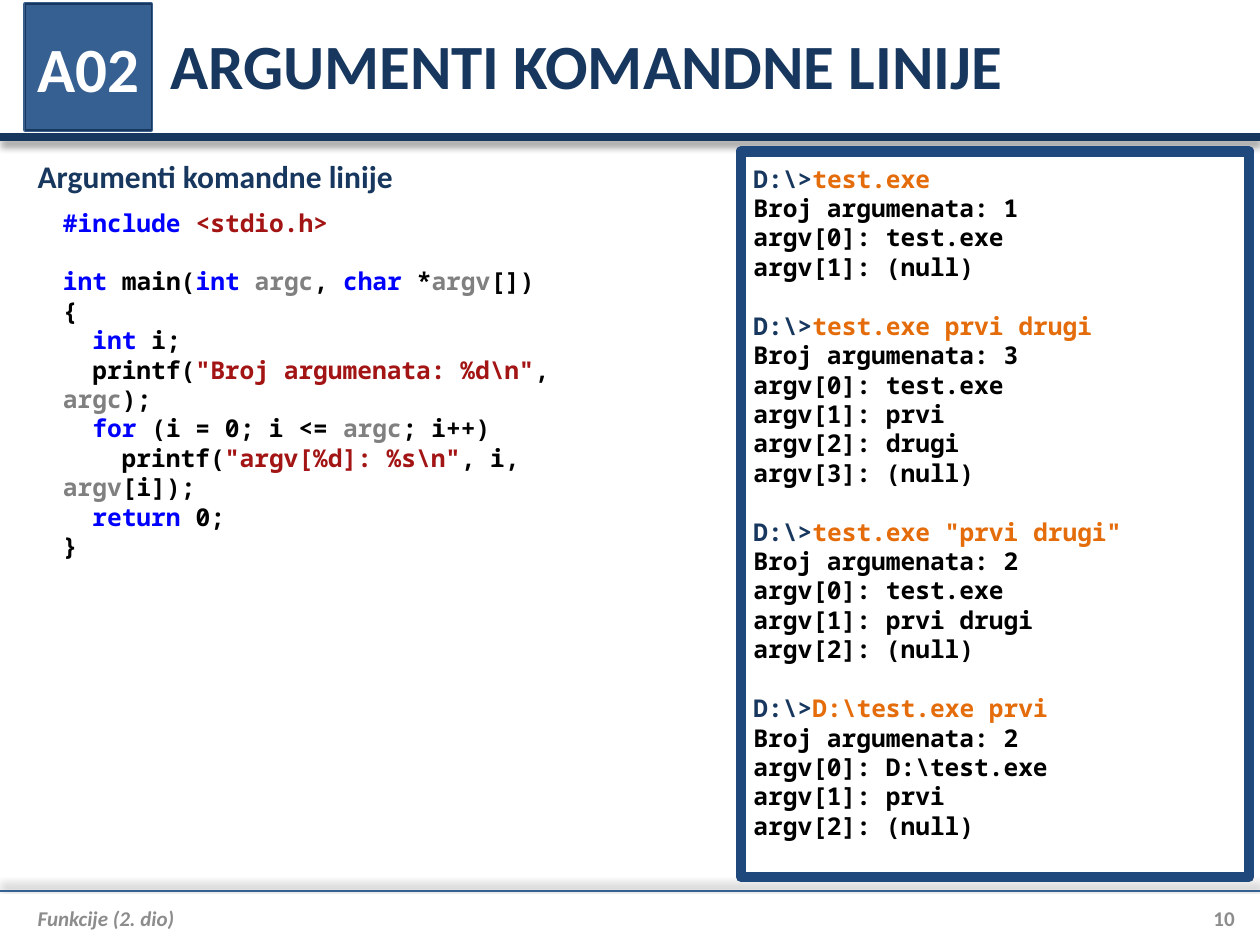
"""Build the slide about command line arguments, with code and its console output."""
from dataclasses import dataclass
from typing import Any

from lxml.etree import SubElement
from pptx import Presentation
from pptx.dml.color import RGBColor
from pptx.enum.shapes import MSO_CONNECTOR, MSO_SHAPE
from pptx.enum.text import MSO_ANCHOR, PP_ALIGN
from pptx.oxml.ns import qn
from pptx.util import Cm, Pt

NAVY, BLUE, GREY, WHITE, BLACK = "17375E", "376092", "8C8C8C", "FFFFFF", "000000"
KEYWORD, STRING, ARGUMENT, COMMAND = "0000FF", "A31515", "808080", "E46C0A"
HEADING_FONT = {"name": "Calibri", "size": Pt(36), "bold": True}
SUBHEADING_FONT = HEADING_FONT | {"size": Pt(18)}
FOOTER_FONT = HEADING_FONT | {"size": Pt(12)}
CODE_FONT = {"name": "Noto Sans Mono", "size": Pt(14), "bold": True}
CODE_LINE, CODE_INDENT = Pt(16.8), Pt(16.8)
MIDDLE = {"vertical_anchor": MSO_ANCHOR.MIDDLE}
NO_MARGINS = {f"margin_{side}": 0 for side in ("left", "top", "right", "bottom")}


@dataclass(frozen=True)
class Area:
    left: float
    top: float
    width: float
    height: float

    def lengths(self) -> tuple[Cm, ...]:
        return tuple(Cm(v) for v in (self.left, self.top, self.width, self.height))


@dataclass(frozen=True)
class Span:
    text: str
    color: str = BLACK


@dataclass(frozen=True)
class Line:
    spans: tuple[Span, ...]
    level: int = 0
    gap: bool = False


@dataclass(frozen=True)
class Session:
    command: str
    arguments: tuple[str, ...]


@dataclass(frozen=True)
class Rule:
    top: float
    color: str
    width: float
    shadow_angle: int


BADGE = Area(0.51, 0.08, 2.54, 2.54)
RULES = (Rule(2.77, NAVY, 4.5, 90), Rule(17.96, BLUE, 1.5, 270))
CODE = (
    Line((Span("#include ", KEYWORD), Span("<stdio.h>", STRING))),
    Line((Span("int", KEYWORD), Span(" main("), Span("int", KEYWORD), Span(" "),
          Span("argc", ARGUMENT), Span(", "), Span("char", KEYWORD), Span(" *"),
          Span("argv", ARGUMENT), Span("[])")), gap=True),
    Line((Span("{"),)),
    Line((Span("int", KEYWORD), Span(" i;")), 1),
    Line((Span("printf("), Span(r'"Broj argumenata: %d\n"', STRING), Span(", "),
          Span("argc", ARGUMENT), Span(");")), 1),
    Line((Span("for", KEYWORD), Span(" (i = 0; i <= "), Span("argc", ARGUMENT),
          Span("; i++)")), 1),
    Line((Span("printf("), Span(r'"argv[%d]: %s\n"', STRING), Span(", i, "),
          Span("argv", ARGUMENT), Span("[i]);")), 2),
    Line((Span("return", KEYWORD), Span(" 0;")), 1),
    Line((Span("}"),)),
)
SESSIONS = (
    Session("test.exe", ("test.exe",)),
    Session("test.exe prvi drugi", ("test.exe", "prvi", "drugi")),
    Session('test.exe "prvi drugi"', ("test.exe", "prvi drugi")),
    Session(r"D:\test.exe prvi", (r"D:\test.exe", "prvi")),
)


def apply(target: Any, values: dict[str, Any]) -> None:
    for name, value in values.items():
        setattr(target, name, value)


def paint(target: Any, color: str) -> None:
    target.solid()
    target.fore_color.rgb = RGBColor.from_string(color)


def session_lines(session: Session, gap: bool) -> list[Line]:
    outputs = [f"Broj argumenata: {len(session.arguments)}"]
    outputs += [f"argv[{index}]: {value}"
                for index, value in enumerate((*session.arguments, "(null)"))]
    prompt = Line((Span("D:\\>", NAVY), Span(session.command, COMMAND)), gap=gap)
    return [prompt] + [Line((Span(output),)) for output in outputs]


def write(box: Any, lines: tuple[Line, ...], font: dict[str, Any],
          frame_format: dict[str, Any], alignment: PP_ALIGN = PP_ALIGN.LEFT) -> None:
    frame = box.text_frame
    apply(frame, {"word_wrap": True, "vertical_anchor": MSO_ANCHOR.TOP} | frame_format)
    for index, line in enumerate(lines):
        para = frame.add_paragraph() if index else frame.paragraphs[0]
        para.alignment = alignment
        if line.gap:
            para.space_before = CODE_LINE
        if line.level:
            para._p.get_or_add_pPr().set("indent", str(int(line.level * CODE_INDENT)))
        for span in line.spans:
            run = para.add_run()
            run.text = span.text
            apply(run.font, font)
            paint(run.font.fill, span.color)


def add_text(page: Any, area: Area, lines: tuple[Line, ...], font: dict[str, Any],
             frame_format: dict[str, Any], alignment: PP_ALIGN = PP_ALIGN.LEFT) -> None:
    write(page.shapes.add_textbox(*area.lengths()), lines, font, frame_format, alignment)


def add_box(page: Any, area: Area, fill: str, border: str, width: float) -> Any:
    box = page.shapes.add_shape(MSO_SHAPE.RECTANGLE, *area.lengths())
    box.shadow.inherit = False
    paint(box.fill, fill)
    paint(box.line.fill, border)
    box.line.width = Pt(width)
    return box


def add_rule(page: Any, rule: Rule) -> None:
    line = page.shapes.add_connector(
        MSO_CONNECTOR.STRAIGHT, Cm(0), Cm(rule.top), Cm(25.4), Cm(rule.top))
    paint(line.line.fill, rule.color)
    line.line.width = Pt(rule.width)
    effects = SubElement(line._element.spPr, qn("a:effectLst"))
    shadow = SubElement(effects, qn("a:outerShdw"), blurRad=str(Pt(4)), dist=str(Pt(3)),
                        dir=str(rule.shadow_angle * 60000), rotWithShape="0")
    color = SubElement(shadow, qn("a:srgbClr"), val=BLACK)
    SubElement(color, qn("a:alpha"), val="40000")


def single(text: str, color: str) -> tuple[Line, ...]:
    return (Line((Span(text, color),)),)


def main() -> None:
    deck = Presentation()
    apply(deck, {"slide_width": Cm(25.4), "slide_height": Cm(19.05)})
    page = deck.slides.add_slide(deck.slide_layouts[6])
    for rule in RULES:
        add_rule(page, rule)
    add_box(page, BADGE, "4F81BD", "3A5F8C", 2)
    add_text(page, Area(3.18, 0.03, 21.72, 2.54),
             single("ARGUMENTI KOMANDNE LINIJE", NAVY), HEADING_FONT, MIDDLE)
    add_text(page, Area(0.51, 18.06, 23.11, 0.89), single("Funkcije (2. dio)", GREY),
             FOOTER_FONT | {"italic": True}, MIDDLE | NO_MARGINS | {"margin_left": Cm(0.25)})
    add_text(page, Area(23.62, 18.06, 1.27, 0.89), single("10", GREY),
             FOOTER_FONT, MIDDLE | NO_MARGINS, PP_ALIGN.RIGHT)
    badge = add_box(page, BADGE, BLUE, NAVY, 0.75)
    write(badge, single("A02", WHITE), HEADING_FONT, MIDDLE | NO_MARGINS, PP_ALIGN.CENTER)
    add_text(page, Area(0.51, 3.05, 24.64, 1.02),
             single("Argumenti komandne linije", NAVY), SUBHEADING_FONT, {})
    add_text(page, Area(1.02, 4.06, 12.22, 6.25), CODE, CODE_FONT, {})
    console = add_box(page, Area(14.94, 3.05, 10.24, 14.63), WHITE, "1F497D", 6)
    output = tuple(line for index, session in enumerate(SESSIONS)
                   for line in session_lines(session, index > 0))
    write(console, output, CODE_FONT, {name: Cm(0.25) for name in NO_MARGINS})
    deck.save("out.pptx")


if __name__ == "__main__":
    main()
